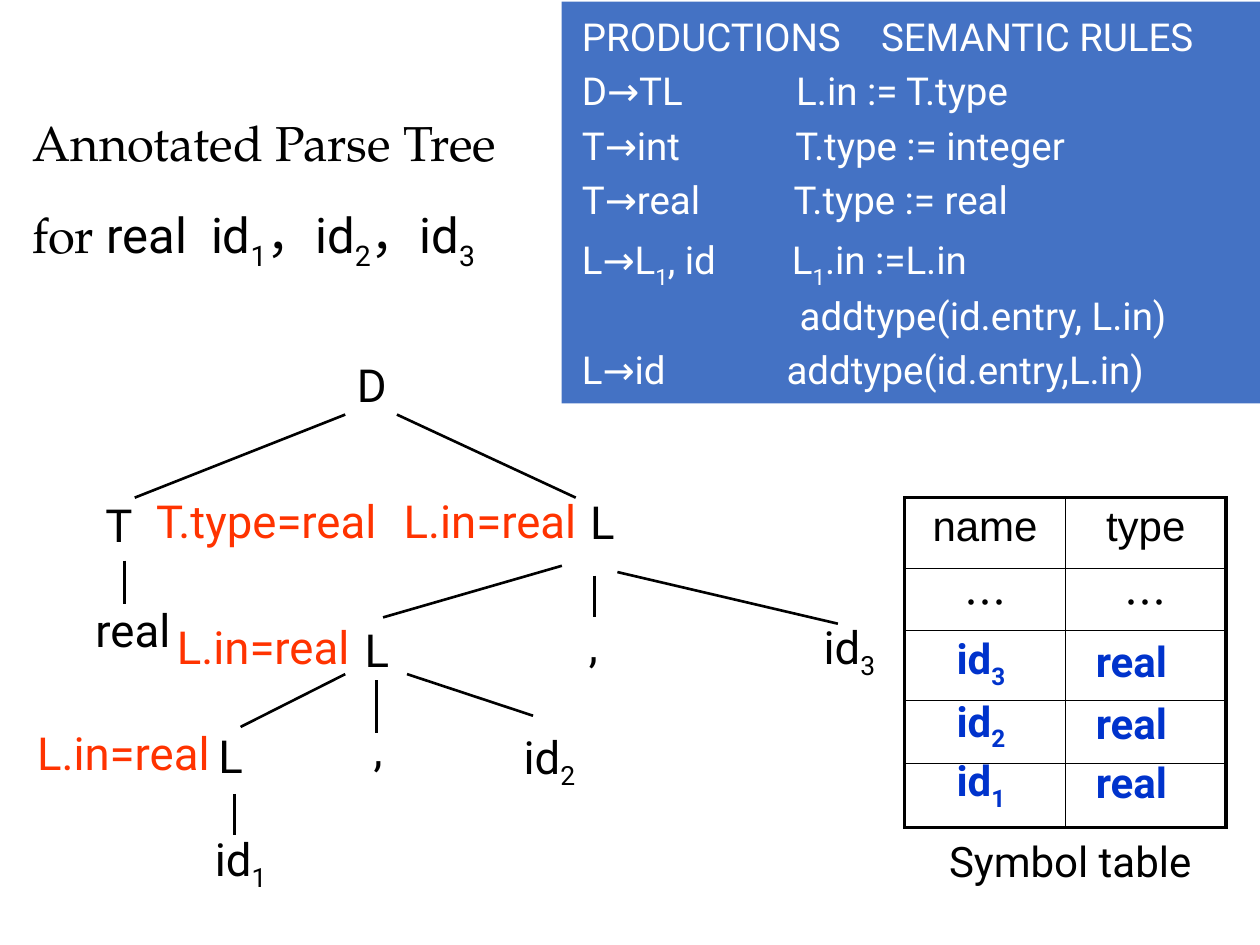
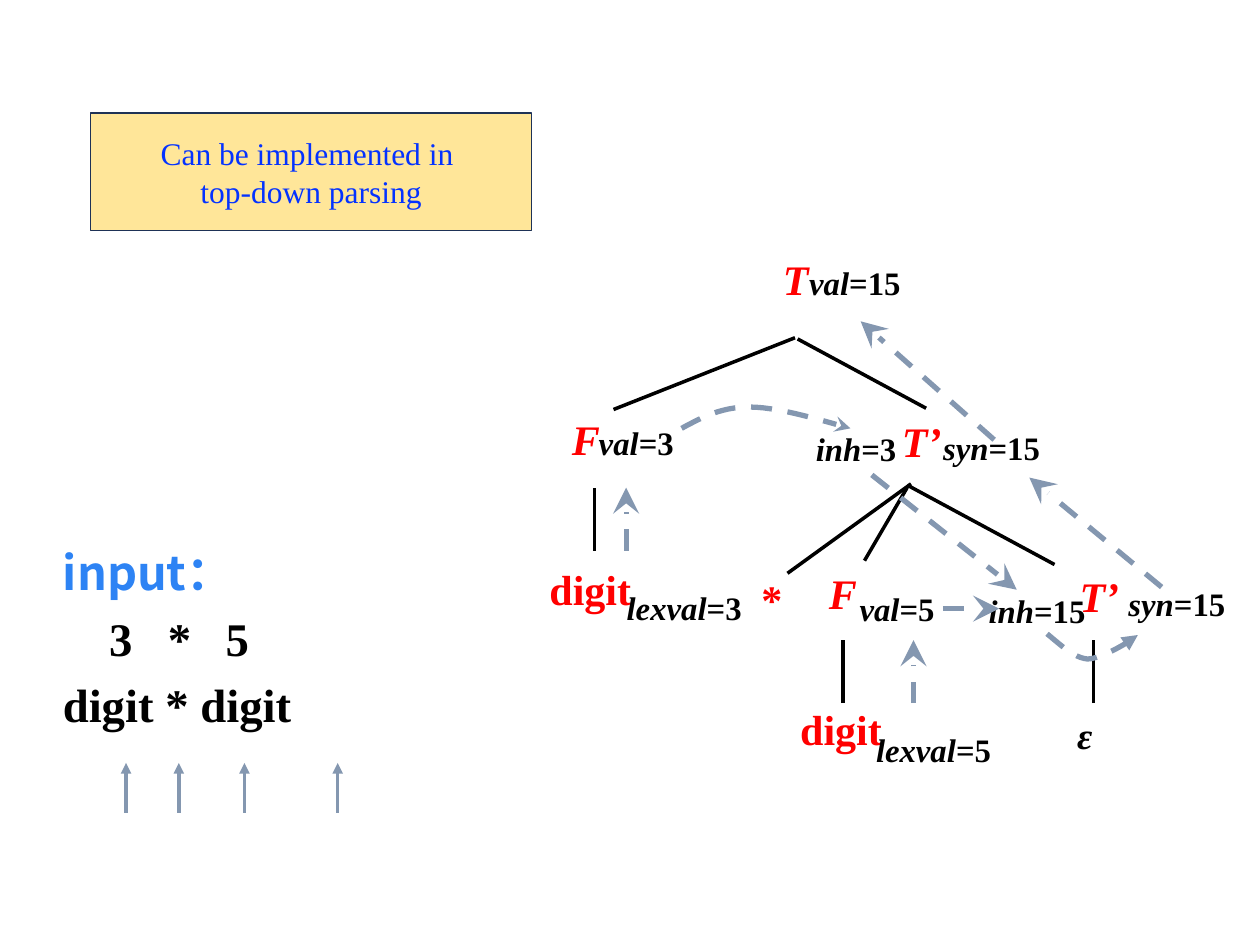
from dataclasses import dataclass

from lxml import etree
from pptx import Presentation
from pptx.dml.color import RGBColor
from pptx.enum.dml import MSO_LINE
from pptx.enum.shapes import MSO_CONNECTOR, MSO_SHAPE
from pptx.enum.text import MSO_ANCHOR, PP_ALIGN
from pptx.oxml.ns import qn
from pptx.util import Pt

LEFT, CENTER = PP_ALIGN.LEFT, PP_ALIGN.CENTER
TOP, MIDDLE, BOTTOM = MSO_ANCHOR.TOP, MSO_ANCHOR.MIDDLE, MSO_ANCHOR.BOTTOM
STRAIGHT, RECTANGLE, DASH = MSO_CONNECTOR.STRAIGHT, MSO_SHAPE.RECTANGLE, MSO_LINE.DASH
RIGHT_SIDE = 3


@dataclass(frozen=True)
class Theme:
    black: str = "000000"
    white: str = "FFFFFF"
    attribute: str = "FF3300"
    entry: str = "0033CC"
    rules: str = "4472C4"
    symbol: str = "FF0000"
    flow: str = "8497B0"
    input: str = "2D83F4"
    note: str = "0432FF"
    note_fill: str = "FFE699"
    note_edge: str = "1E3256"
    sans: str = "Roboto"
    serif: str = "Times New Roman"
    title: str = "TeX Gyre Pagella"
    cell: str = "Arial"
    cjk: str = "Noto Sans CJK SC"


T = Theme()
TITLE = dict(size=28, name=T.title, color=T.black)
TITLE_TERM = TITLE | dict(name=T.sans)
NODE = dict(size=26, name=T.sans, color=T.black)
ATTRIBUTE = NODE | dict(color=T.attribute)
CAPTION = NODE | dict(size=24)
ENTRY = CAPTION | dict(color=T.entry, bold=True)
HEADING = CAPTION | dict(name=T.cell)
ELLIPSIS = CAPTION | dict(name=T.cjk)
RULE = dict(size=22, name=T.sans, color=T.white)
TOKEN = dict(size=24, name=T.serif, color=T.symbol, bold=True)
SYMBOL = TOKEN | dict(italic=True)
VALUE = dict(size=18.7, name=T.serif, color=T.black, bold=True)
EPSILON = VALUE | dict(size=21.3, italic=True)
INPUT = dict(size=26.7, name=T.serif, color=T.black, bold=True)
INPUT_HEAD = INPUT | dict(name=T.cjk, color=T.input)
NOTE = dict(size=18, name=T.serif, color=T.note)

PRODUCTIONS = [
    ("PRODUCTIONS\tSEMANTIC RULES", 171),
    ("D→TL\tL.in := T.type", 122.5),
    ("T→int\tT.type := integer", 122),
    ("T→real\tT.type := real", 121),
    ("L→L~1~, id\tL~1~.in :=L.in", 120),
    ("\taddtype(id.entry, L.in)", 124.5),
    ("L→id\taddtype(id.entry,L.in)", 117),
]
PARSE_NODES = [
    ("D", 212.4, 219.6), ("T", 68, 299.5), ("real", 76, 359.3),
    ("L", 344.2, 298.1), ("L", 215.3, 370.8), (",", 339.1, 367.9),
    ("id~3", 485.3, 371.5), ("L", 131.8, 431.3), (",", 216, 427.7),
    ("id~2", 313.9, 434.2), ("id~1", 137.5, 492.5),
]
PARSE_ATTRIBUTES = [
    ("T.type=real", 152.3, 297.4), ("L.in=real", 280.1, 297.4),
    ("L.in=real", 150.5, 369.4), ("L.in=real", 70.6, 429.8),
]
PARSE_EDGES = [
    (197.3, 236.9, 77, 284.4), (226.8, 236.9, 329, 284.4),
    (71.3, 320.4, 71.3, 344.9), (321.1, 323.3, 218.9, 352.8),
    (339.8, 329, 339.8, 352.8), (352.8, 326.9, 478.8, 356.4),
    (197.3, 385.2, 137.5, 415.4), (215.3, 388.8, 215.3, 419),
    (232.6, 385.2, 304.6, 409), (133.9, 453.6, 133.9, 477.4),
]
SYMBOL_HEADS = [(("name", "type"), HEADING, TOP), (("…", "…"), ELLIPSIS, BOTTOM)]
SYMBOL_ROW_HEIGHTS = [40.5, 35.5, 40, 36, 36.5]
SYMBOL_ENTRIES = [("id~3", "real", 378), ("id~2", "real", 413.6), ("id~1", "real", 447.6)]

TREE_SYMBOLS = [
    ("T", SYMBOL, 454.7, 159.5), ("F", SYMBOL, 334.8, 250.9),
    ("T’", SYMBOL, 526.7, 251.6), ("F", SYMBOL, 481.7, 338.8),
    ("T’", SYMBOL, 628.2, 340.2), ("*", TOKEN, 441, 342),
    ("digit", TOKEN, 337.3, 336.6), ("digit", TOKEN, 480.6, 416.5),
    ("ε", EPSILON, 619.9, 419.8),
]
TREE_VALUES = [
    ("val", "15", 488.5, 161.3), ("val", "3", 363.6, 252.7),
    ("inh", "3", 489.2, 256.3), ("syn", "15", 566.6, 255.6),
    ("lexval", "3", 391, 347), ("val", "5", 512.6, 347.8),
    ("inh", "15", 592.6, 348.5), ("syn", "15", 672.5, 344.9),
    ("lexval", "5", 533.5, 428.4),
]
TREE_EDGES = [
    (454.3, 193, 350.6, 234), (455.8, 193.7, 529.2, 233.3),
    (520.6, 276.5, 450, 327.6), (518.4, 278.6, 494, 320.4),
    (518.4, 277.2, 602.6, 322.6), (339.8, 314.6, 339.8, 278.6),
    (481.7, 401.8, 481.7, 365.8), (625, 401.8, 625, 365.8),
]
FLOW_ARROWS = [
    (357.8, 314.6, 357.8, 278.6), (522, 401.8, 522, 365.8),
    (498.2, 271.4, 581, 337), (663.8, 335.5, 588.2, 272.9),
    (568.1, 251.3, 491.8, 183.6), (540, 347.8, 571, 347.8),
]
FLOW_CURVES = [
    ("stealth", [(389.5, 244.8), (400.3, 239), (411.8, 232.6), (427.7, 232.6),
                 (444.2, 232.6), (465.1, 239), (486, 244.8)]),
    ("triangle", [(598.3, 362.2), (606.2, 368.6), (613.4, 375.8), (621.4, 376.6),
                  (630, 376.6), (649.4, 364.3), (650.2, 362.9)]),
]
INPUT_MARKS = [72, 102.2, 139.7, 193]


def pts(*lengths):
    return [Pt(length) for length in lengths]


def add_run(paragraph, text, style, drop=0):
    run = paragraph.add_run()
    run.text = text
    values = style | dict(size=Pt(style["size"]))
    run.font.color.rgb = RGBColor.from_string(values.pop("color"))
    for key, value in values.items():
        setattr(run.font, key, value)
    properties = run._r.get_or_add_rPr()
    etree.SubElement(properties, qn("a:ea"), typeface=T.cjk)
    if drop:
        properties.set("baseline", str(-1000 * drop))


def add_marked(paragraph, text, style, drop=25):
    for index, part in enumerate(text.split("~")):
        if part:
            add_run(paragraph, part, style, drop * (index % 2))


def set_tabs(paragraph, *stops):
    tabs = etree.SubElement(paragraph._p.get_or_add_pPr(), qn("a:tabLst"))
    for stop in stops:
        etree.SubElement(tabs, qn("a:tab"), pos=str(Pt(stop)), algn="l")


def add_paragraph(frame, first, **layout):
    paragraph = frame.paragraphs[0] if first else frame.add_paragraph()
    for key, value in layout.items():
        setattr(paragraph, key, value)
    if first:
        paragraph.space_before = Pt(0)
    return paragraph


def set_insets(frame, **insets):
    for side, inset in insets.items():
        setattr(frame, f"margin_{side}", Pt(inset))


def add_text(slide, left, top, width, height):
    box = slide.shapes.add_textbox(*pts(left, top, width, height))
    box.text_frame.word_wrap = True
    return box


def add_panel(slide, left, top, width, height, fill, edge=None):
    panel = slide.shapes.add_shape(RECTANGLE, *pts(left, top, width, height))
    panel.shadow.inherit = False
    panel.fill.solid()
    panel.fill.fore_color.rgb = RGBColor.from_string(fill)
    if edge:
        panel.line.color.rgb = RGBColor.from_string(edge)
        panel.line.width = Pt(1)
    else:
        panel.line.fill.background()
    return panel


def add_label(slide, center_x, center_y, pieces, fill=None):
    size = pieces[0][1]["size"]
    width = max(1.2 * size, 0.56 * size * sum(len(text) for text, _ in pieces))
    height = 1.15 * size + 8
    area = (center_x - width / 2, center_y - height / 2, width, height)
    label = add_panel(slide, *area, fill) if fill else add_text(slide, *area)
    frame = label.text_frame
    frame.word_wrap = False
    frame.vertical_anchor = MIDDLE
    set_insets(frame, left=0, right=0)
    paragraph = add_paragraph(frame, True, alignment=CENTER)
    for text, style in pieces:
        add_marked(paragraph, text, style)
    return label


def style_line(line, color, width, dashed=False, tip=None, tip_size="med"):
    line.color.rgb = RGBColor.from_string(color)
    line.width = Pt(width)
    if dashed:
        line.dash_style = DASH
    if tip:
        etree.SubElement(line._get_or_add_ln(), qn("a:tailEnd"),
                         type=tip, w=tip_size, len=tip_size)


def add_line(slide, ends, color, width, **look):
    connector = slide.shapes.add_connector(STRAIGHT, *pts(*ends))
    style_line(connector.line, color, width, **look)
    etree.SubElement(connector._element.spPr, qn("a:effectLst"))
    return connector


def bezier(points, steps=12):
    for step in range(1, steps + 1):
        t = step / steps
        weights = ((1 - t) ** 3, 3 * t * (1 - t) ** 2, 3 * t * t * (1 - t), t ** 3)
        yield tuple(Pt(sum(w * p[axis] for w, p in zip(weights, points))) for axis in (0, 1))


def add_curve(slide, tip, points):
    builder = slide.shapes.build_freeform(*pts(*points[0]))
    for start in range(0, len(points) - 1, 3):
        builder.add_line_segments(list(bezier(points[start:start + 4])), close=False)
    curve = builder.convert_to_shape()
    curve.shadow.inherit = False
    curve.fill.background()
    style_line(curve.line, T.flow, 3, dashed=True, tip=tip)


def set_borders(cell, widths):
    properties = cell._tc.get_or_add_tcPr()
    for index, (side, width) in enumerate(widths.items()):
        border = etree.Element(qn(f"a:ln{side}"), w=str(Pt(width)))
        fill = etree.SubElement(border, qn("a:solidFill"))
        etree.SubElement(fill, qn("a:srgbClr"), val=T.black)
        properties.insert(index, border)


def add_symbol_table(slide):
    heights = SYMBOL_ROW_HEIGHTS
    last = len(heights) - 1
    table = slide.shapes.add_table(last + 1, 2, *pts(517, 284.4, 183.6, sum(heights))).table
    table.first_row = table.horz_banding = False
    for row, height in enumerate(heights):
        table.rows[row].height = Pt(height)
        for column in range(2):
            cell = table.cell(row, column)
            cell.fill.solid()
            cell.fill.fore_color.rgb = RGBColor.from_string(T.white)
            outer = dict(L=column == 0, R=column == 1, T=row == 0, B=row == last)
            set_borders(cell, {side: 2.25 if edge else 1 for side, edge in outer.items()})
    for row, (texts, style, anchor) in enumerate(SYMBOL_HEADS):
        for column, text in enumerate(texts):
            cell = table.cell(row, column)
            cell.vertical_anchor = anchor
            cell.margin_top = Pt(3.6 if anchor == TOP else 0)
            cell.margin_bottom = 0
            add_run(add_paragraph(cell.text_frame, True, alignment=CENTER), text, style)
    for name, kind, y in SYMBOL_ENTRIES:
        add_label(slide, 560.5, y, [(name, ENTRY)])
        add_label(slide, 646.5, y - 0.7, [(kind, ENTRY)])


def build_parse_tree(slide):
    title = add_text(slide, 11.5, 44, 317.5, 120).text_frame
    heading = add_paragraph(title, True, line_spacing=1.5)
    set_tabs(heading, 102)
    add_run(heading, "Annotated Parse Tree for ", TITLE)
    add_marked(heading, "real\tid~1~，id~2~，id~3", TITLE_TERM)
    for ends in PARSE_EDGES:
        add_line(slide, ends, T.black, 1.5)
    for labels, style in ((PARSE_NODES, NODE), (PARSE_ATTRIBUTES, ATTRIBUTE)):
        for text, x, y in labels:
            add_label(slide, x, y, [(text, style)])
    add_symbol_table(slide)
    add_label(slide, 611.6, 491.8, [("Symbol table", CAPTION)])
    rules = add_panel(slide, 321, 0.9, 399, 229.7, T.rules).text_frame
    set_insets(rules, left=11.5, top=11.5, right=0, bottom=3.6)
    rules.vertical_anchor = TOP
    for index, (text, stop) in enumerate(PRODUCTIONS):
        rule = add_paragraph(rules, index == 0, alignment=LEFT, line_spacing=0.8,
                             space_before=Pt(10))
        set_tabs(rule, stop)
        add_marked(rule, text, RULE, drop=30)


def build_top_down(slide):
    entry = add_text(slide, 28.8, 307.4, 224.6, 156).text_frame
    head = add_paragraph(entry, True)
    add_run(head, "input", INPUT_HEAD)
    add_run(head, "：", INPUT_HEAD | dict(name=T.serif))
    numbers = add_paragraph(entry, False, space_before=Pt(5.5))
    set_tabs(numbers, 26.5, 60, 93)
    add_run(numbers, "\t3\t*\t5", INPUT)
    add_run(add_paragraph(entry, False, space_before=Pt(5.5)), "digit * digit", INPUT)
    for text, style, x, y in TREE_SYMBOLS:
        add_label(slide, x, y, [(text, style)], T.white if style != EPSILON else None)
    for ends in TREE_EDGES:
        add_line(slide, ends, T.black, 2)
    values = {}
    for name, value, x, y in TREE_VALUES:
        pieces = [(name, VALUE | dict(italic=True)), ("=" + value, VALUE)]
        values[name, value] = add_label(slide, x, y, pieces)
    flows = [add_line(slide, ends, T.flow, 3, dashed=True, tip="stealth", tip_size="lg")
             for ends in FLOW_ARROWS]
    flows[-1].begin_connect(values["val", "5"], RIGHT_SIDE)
    for tip, points in FLOW_CURVES:
        add_curve(slide, tip, points)
    for x in INPUT_MARKS:
        add_line(slide, (x, 464.4, x, 436), T.flow, 2, tip="triangle")
    note = add_panel(slide, 51.8, 64.8, 252, 67, T.note_fill, T.note_edge).text_frame
    note.vertical_anchor = MIDDLE
    for index, text in enumerate(("Can be implemented in ", "top-down parsing")):
        add_run(add_paragraph(note, index == 0, alignment=CENTER), text, NOTE)


def main():
    deck = Presentation()
    deck.slide_width, deck.slide_height = pts(720, 540)
    for build in (build_parse_tree, build_top_down):
        build(deck.slides.add_slide(deck.slide_layouts[6]))
    deck.save("out.pptx")


if __name__ == "__main__":
    main()
